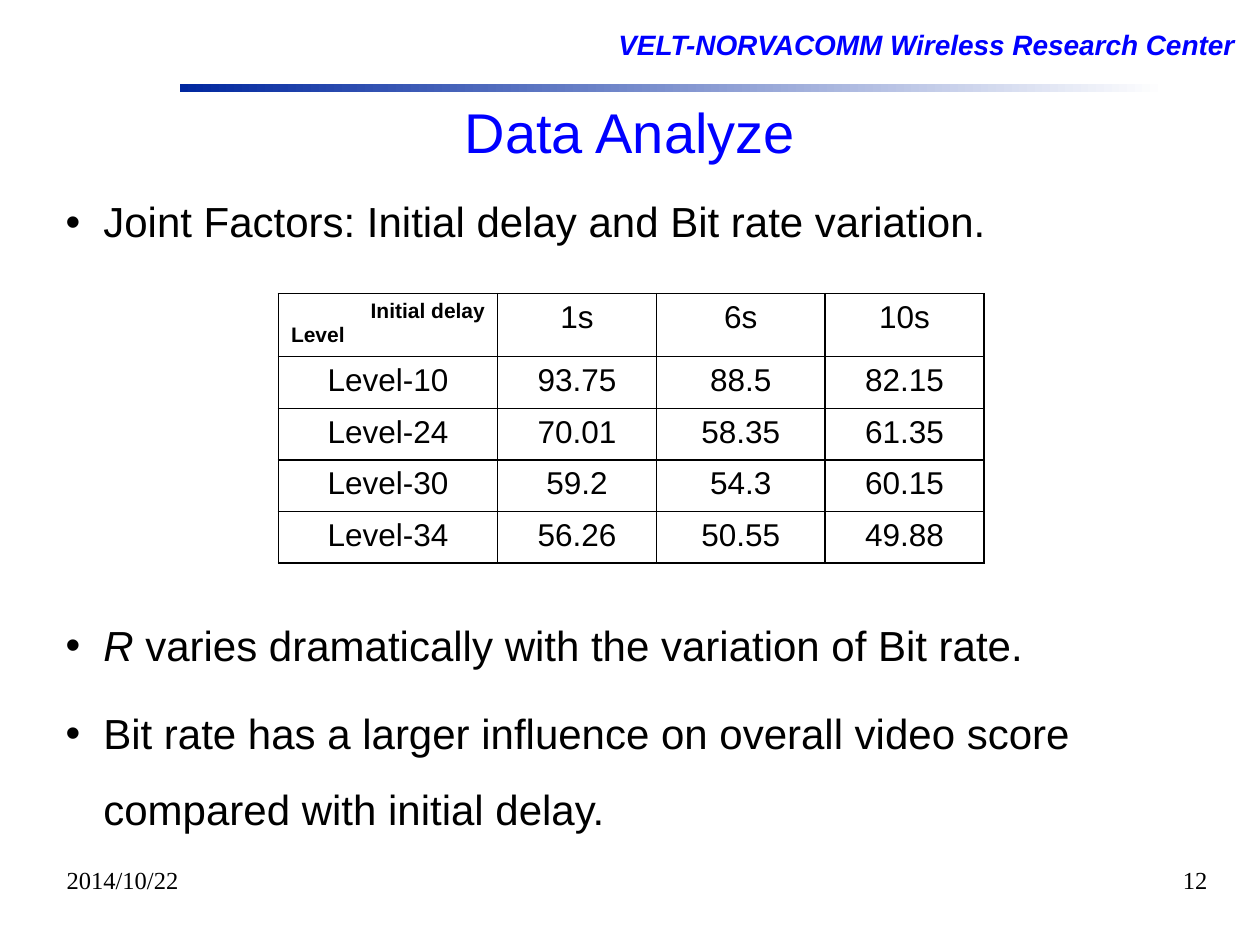
import pptx
import pptx.dml.color
import pptx.enum.shapes
import pptx.enum.text
import pptx.oxml
import pptx.util
from pptx.util import Inches

ALIGN = pptx.enum.text.PP_ALIGN
DRAWING_NS = "http://schemas.openxmlformats.org/drawingml/2006/main"


def color(hex_value):
    return pptx.dml.color.RGBColor.from_string(hex_value)


def write(paragraph, text, size, hex_value="000000", align=ALIGN.LEFT, spacing=1.0, **font_format):
    paragraph.alignment = align
    paragraph.line_spacing = spacing
    paragraph.space_before = pptx.util.Pt(0)
    run = paragraph.add_run()
    run.text = text
    run.font.color.rgb = color(hex_value)
    values = {"name": "Arial", "size": pptx.util.Pt(size), "bold": False, "italic": False}
    for attribute, value in {**values, **font_format}.items():
        setattr(run.font, attribute, value)


presentation = pptx.Presentation()
presentation.slide_width = Inches(10)
presentation.slide_height = Inches(7.5)
slide = presentation.slides.add_slide(presentation.slide_layouts[3])
title, factors, findings = slide.placeholders

center_name = slide.shapes.add_textbox(Inches(4.81), Inches(0.25), Inches(5.17), Inches(0.62))
center_name.text_frame.word_wrap = True
center_name.text_frame.margin_top = center_name.text_frame.margin_bottom = 0
write(center_name.text_frame.paragraphs[0], "VELT-NORVACOMM Wireless Research Center", 16,
      "0000FF", spacing=0.9, bold=True, italic=True)

header_rule = slide.shapes.add_shape(pptx.enum.shapes.MSO_SHAPE.RECTANGLE,
                                     Inches(1.43), Inches(0.67), Inches(7.82), Inches(0.06))
header_rule.shadow.inherit = False
header_rule.line.fill.background()
header_rule.fill.gradient()
header_rule.fill.gradient_angle = 0
for stop, hex_value, position in zip(header_rule.fill.gradient_stops, ("00279F", "FFFFFF"), (0, 1)):
    stop.color.rgb = color(hex_value)
    stop.position = position

frames = (
    (title, (3.6, 0.83, 2.8, 0.51), (0.07, 0.03), False, pptx.enum.text.MSO_ANCHOR.MIDDLE),
    (factors, (0.43, 1.55, 9.21, 5.2), (0.09, 0.05), True, pptx.enum.text.MSO_ANCHOR.TOP),
    (findings, (0.43, 4.67, 9.45, 1.97), (0.09, 0.05), True, pptx.enum.text.MSO_ANCHOR.TOP),
)
for placeholder, box, (side, edge), wrap, anchor in frames:
    for attribute, length in zip(("left", "top", "width", "height"), box):
        setattr(placeholder, attribute, Inches(length))
    frame_format = {
        "margin_left": Inches(side), "margin_right": Inches(side),
        "margin_top": Inches(edge), "margin_bottom": Inches(edge),
        "word_wrap": wrap, "vertical_anchor": anchor,
        "auto_size": pptx.enum.text.MSO_AUTO_SIZE.NONE,
    }
    for attribute, value in frame_format.items():
        setattr(placeholder.text_frame, attribute, value)

write(title.text_frame.paragraphs[0], "Data Analyze", 32, "0000FF", ALIGN.CENTER, 0.85)
write(factors.text_frame.paragraphs[0], "Joint Factors: Initial delay and Bit rate variation.", 24,
      spacing=0.9)
variation = findings.text_frame.paragraphs[0]
write(variation, "R", 24, spacing=1.5, italic=True)
write(variation, " varies dramatically with the variation of Bit rate.", 24, spacing=1.5)
influence = findings.text_frame.add_paragraph()
write(influence, "Bit rate has a larger influence on overall video score compared with initial delay.", 24,
      spacing=1.5)
influence.space_before = pptx.util.Pt(7)
for point in (factors.text_frame.paragraphs[0], variation, influence):
    properties = point._p.get_or_add_pPr()
    properties.set("marL", str(Inches(0.3)))
    properties.set("indent", str(-Inches(0.3)))

for left, text, align in ((0.43, "2014/10/22", ALIGN.LEFT), (7.6, "12", ALIGN.RIGHT)):
    footer = slide.shapes.add_textbox(Inches(left), Inches(6.82), Inches(2.08), Inches(0.5))
    footer.text_frame.word_wrap = True
    write(footer.text_frame.paragraphs[0], text, 14, align=align, name="Times New Roman")

scores = (
    ("", "1s", "6s", "10s"),
    ("Level-10", "93.75", "88.5", "82.15"),
    ("Level-24", "70.01", "58.35", "61.35"),
    ("Level-30", "59.2", "54.3", "60.15"),
    ("Level-34", "56.26", "50.55", "49.88"),
)
score_table = slide.shapes.add_table(len(scores), len(scores[0]), Inches(2.21), Inches(2.33),
                                     Inches(5.6), Inches(2.14)).table
score_table.first_row = score_table.horz_banding = False
for column, width in zip(score_table.columns, (1.74, 1.26, 1.34, 1.26)):
    column.width = Inches(width)
for row, height in zip(score_table.rows, (0.5, 0.41, 0.41, 0.41, 0.41)):
    row.height = Inches(height)
for row, values in zip(score_table.rows, scores):
    for cell, value in zip(row.cells, values):
        for side in "LRTB":
            cell._tc.get_or_add_tcPr().append(pptx.oxml.parse_xml(
                f'<a:ln{side} xmlns:a="{DRAWING_NS}" w="12700"><a:solidFill>'
                f'<a:srgbClr val="000000"/></a:solidFill></a:ln{side}>'))
        cell.fill.background()
        if value:
            write(cell.text_frame.paragraphs[0], value, 18, align=ALIGN.CENTER)

corner = score_table.cell(0, 0).text_frame
write(corner.paragraphs[0], "Initial delay", 12, align=ALIGN.RIGHT, bold=True)
write(corner.add_paragraph(), "Level", 12, bold=True)

presentation.save("out.pptx")
